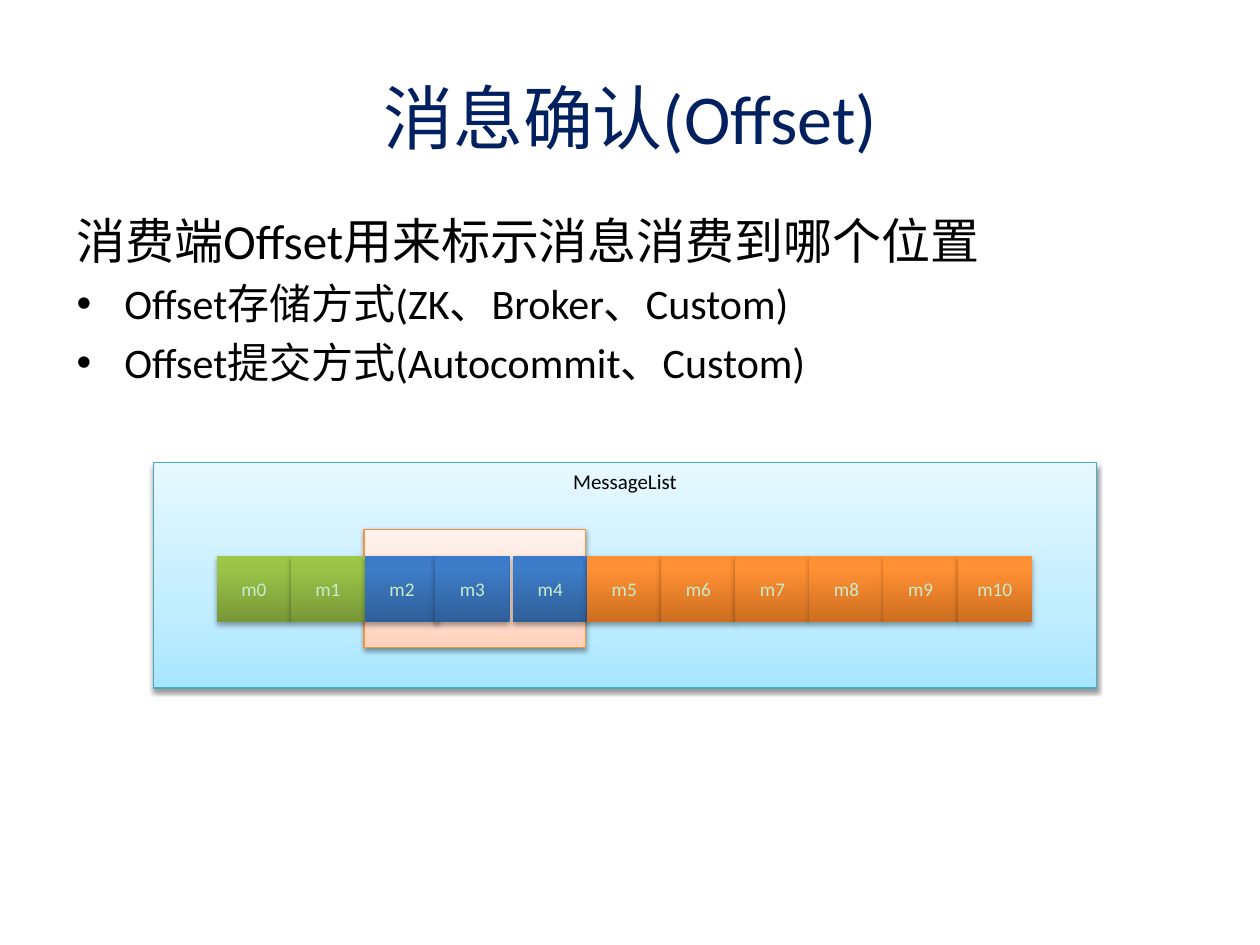
from pptx import Presentation
from pptx.dml.color import RGBColor
from pptx.enum.shapes import MSO_SHAPE as SHAPE
from pptx.enum.text import MSO_ANCHOR as ANCHOR, PP_ALIGN as ALIGN
from pptx.oxml.ns import qn
from pptx.util import Inches, Pt
from lxml.etree import SubElement

COLORS = {"title": "002060", "text": "000000", "cell_text": "C7EDCC",
          "list_line": "46AAC5", "window_line": "F69240"}
GRADIENTS = {
    "list": [(0, "A7E6FF"), (35, "C1EDFF"), (100, "E7F8FF")],
    "window": [(0, "FFD2BD"), (35, "FFDED0"), (100, "FFF2ED")],
    "done": [(0, "779737"), (80, "9BC348"), (100, "9DC746")],
    "current": [(0, "2F5F99"), (80, "3D7CC7"), (100, "3A7CCB")],
    "waiting": [(0, "CC6E20"), (80, "FF9034"), (100, "FF9136")],
}
TITLE = "消息确认(Offset)"
LEAD = "消费端Offset用来标示消息消费到哪个位置"
BULLETS = ["Offset存储方式(ZK、Broker、Custom)",
           "Offset提交方式(Autocommit、Custom)"]
STATES = ["done"] * 2 + ["current"] * 3 + ["waiting"] * 6
CELL_LEFT, CELL_TOP, CELL_W, CELL_H = 1.72, 4.41, 0.59, 0.53
NUDGES = {3: -0.03}


def write(p, text, size, color="text", align=ALIGN.LEFT, before=0):
    p.alignment = align
    p.space_before = Pt(before)
    r = p.add_run()
    r.text = text
    r.font.size = Pt(size)
    r.font.name = "Calibri"
    r.font.color.rgb = RGBColor.from_string(COLORS[color])


def add_bullet(p):
    pPr = p._p.get_or_add_pPr()
    pPr.set("marL", str(Inches(0.38)))
    pPr.set("indent", str(-Inches(0.38)))
    SubElement(pPr, qn("a:buFont"), typeface="Arial")
    SubElement(pPr, qn("a:buChar"), char="•")


def add_box(slide, box, gradient, line=None, shadow=(38, 1.6)):
    s = slide.shapes.add_shape(SHAPE.RECTANGLE, *map(Inches, box))
    s.fill.gradient()
    s.fill.gradient_angle = 90
    stops = s._element.spPr.find(qn("a:gradFill")).find(qn("a:gsLst"))
    for stop in list(stops):
        stops.remove(stop)
    for pos, color in GRADIENTS[gradient]:
        gs = SubElement(stops, qn("a:gs"), pos=str(pos * 1000))
        SubElement(gs, qn("a:srgbClr"), val=color)
    if line:
        s.line.color.rgb = RGBColor.from_string(COLORS[line])
        s.line.width = Pt(0.75)
    else:
        s.line.fill.background()
    s.shadow.inherit = False
    alpha, dist = shadow
    shade = SubElement(s._element.spPr.find(qn("a:effectLst")), qn("a:outerShdw"),
                       blurRad=str(Pt(3.1)), dist=str(Pt(dist)),
                       dir="5400000", rotWithShape="0")
    color = SubElement(shade, qn("a:srgbClr"), val="000000")
    SubElement(color, qn("a:alpha"), val=str(alpha * 1000))
    return s


prs = Presentation()
prs.slide_width, prs.slide_height = Inches(10), Inches(7.5)
slide = prs.slides.add_slide(prs.slide_layouts[5])

title = slide.shapes.title
title.left, title.top, title.width, title.height = map(Inches, (0.5, 0.3, 9, 1.25))
title.text_frame.vertical_anchor = ANCHOR.MIDDLE
write(title.text_frame.paragraphs[0], TITLE, 40, color="title", align=ALIGN.CENTER)

body = slide.shapes.add_textbox(*map(Inches, (0.51, 1.62, 9, 2.05)))
tf = body.text_frame
tf.word_wrap = True
write(tf.paragraphs[0], LEAD, 28, before=5.6)
for text in BULLETS:
    p = tf.add_paragraph()
    write(p, text, 24, before=4.8)
    add_bullet(p)

message_list = add_box(slide, (1.22, 3.67, 7.48, 1.79), "list", line="list_line")
message_list.text_frame.vertical_anchor = ANCHOR.TOP
write(message_list.text_frame.paragraphs[0], "MessageList", 12, align=ALIGN.CENTER)
add_box(slide, (2.89, 4.2, 1.76, 0.94), "window", line="window_line")

for i, state in enumerate(STATES):
    left = CELL_LEFT + i * 0.588 + NUDGES.get(i, 0)
    cell = add_box(slide, (left, CELL_TOP, CELL_W, CELL_H), state, shadow=(35, 1.8))
    cell.text_frame.vertical_anchor = ANCHOR.MIDDLE
    write(cell.text_frame.paragraphs[0], f"m{i}", 11, color="cell_text", align=ALIGN.CENTER)

prs.save("out.pptx")
